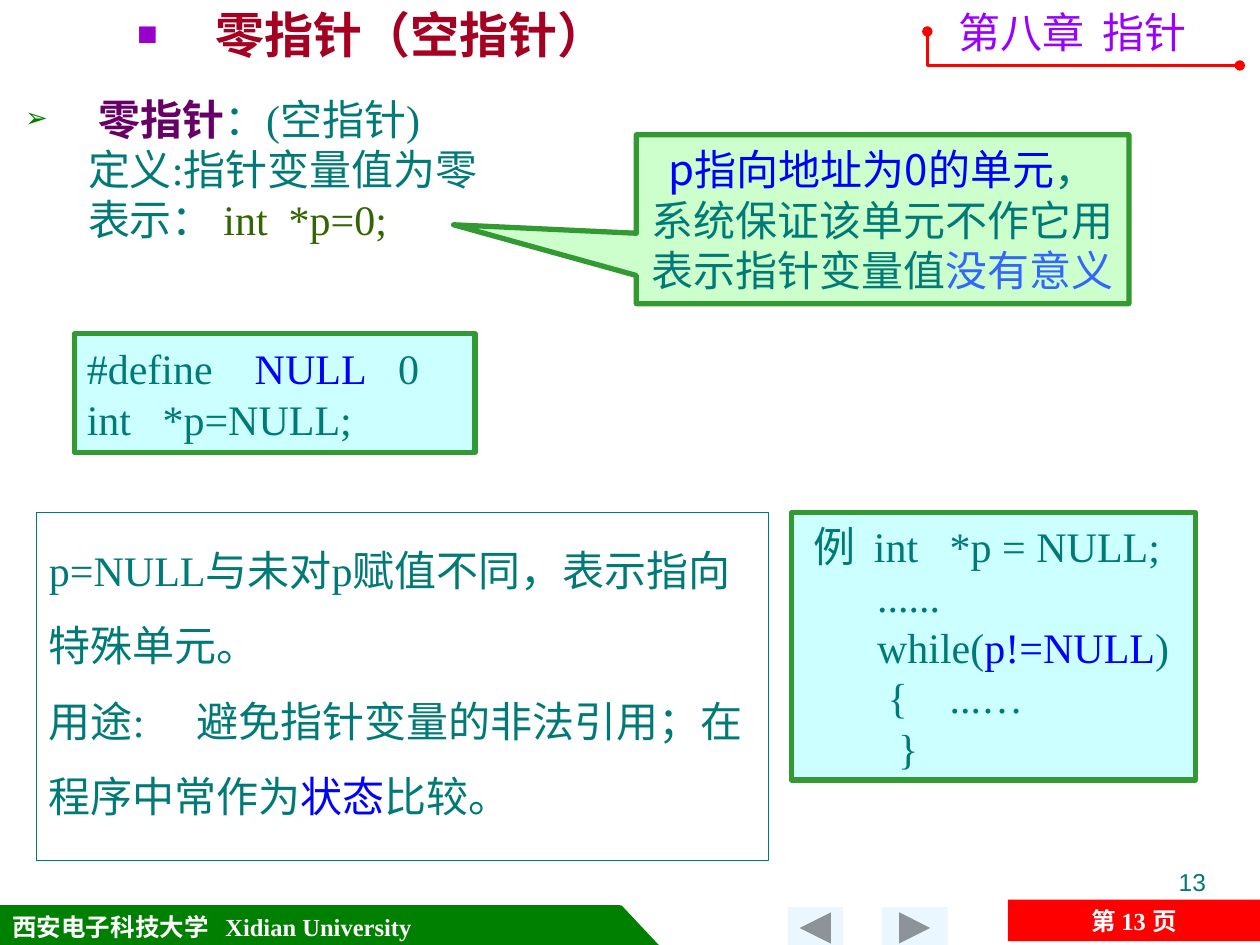
from lxml import etree
from pptx import Presentation
from pptx.dml.color import RGBColor
from pptx.enum import shapes, text
from pptx.oxml.ns import qn
from pptx.util import Inches, Pt

SERIF, CJK, SANS = "Times New Roman", "Noto Sans CJK SC", "Arial"
TEAL, BLUE, GREEN, WHITE = "007A77", "0000FF", "339933", "FFFFFF"
SHAPE, ALIGN, ANCHOR = shapes.MSO_SHAPE, text.PP_ALIGN, text.MSO_ANCHOR


def rgb(value):
    return RGBColor.from_string(value)


def add_child(parent, tag, **attrs):
    return etree.SubElement(parent, qn(tag), attrs)


def add_box(s, kind, box, fill=None, line=None, width=0.75):
    sp = s.shapes.add_shape(kind, *map(Inches, box))
    sp.shadow.inherit = False
    if fill:
        sp.fill.solid()
        sp.fill.fore_color.rgb = rgb(fill)
    else:
        sp.fill.background()
    if line:
        sp.line.color.rgb = rgb(line)
        sp.line.width = Pt(width)
    else:
        sp.line.fill.background()
    return sp


def add_label(s, box):
    return s.shapes.add_textbox(*map(Inches, box))


def set_bullet(p, char, color, percent):
    pPr = p._p.get_or_add_pPr()
    clr = add_child(pPr, "a:buClr")
    add_child(clr, "a:srgbClr", val=color)
    add_child(pPr, "a:buSzPct", val=str(percent * 1000))
    add_child(pPr, "a:buFont", typeface=SANS)
    add_child(pPr, "a:buChar", char=char)


def set_indent(p, left, first=0):
    pPr = p._p.get_or_add_pPr()
    pPr.set("marL", str(Inches(left)))
    pPr.set("indent", str(Inches(first)))


def set_tab(p, at):
    tabs = add_child(p._p.get_or_add_pPr(), "a:tabLst")
    add_child(tabs, "a:tab", pos=str(Inches(at)), algn="l")


def write(sp, paragraphs, size=24, font=SERIF, color=TEAL, bold=False,
          align=ALIGN.LEFT, anchor=ANCHOR.TOP, wrap=True, spacing=1,
          bullets={}, indents={}, tabs={}):
    tf = sp.text_frame
    tf.word_wrap = wrap
    tf.vertical_anchor = anchor
    for i, runs in enumerate(paragraphs):
        p = tf.add_paragraph() if i else tf.paragraphs[0]
        p.alignment = align
        p.line_spacing = Pt(round(size * 1.2 * spacing, 1))
        if i in indents:
            set_indent(p, *indents[i])
        if i in bullets:
            set_bullet(p, *bullets[i])
        if i in tabs:
            set_tab(p, tabs[i])
        p.font.size, p.font.bold, p.font.name = Pt(size), bold, font
        p.font.color.rgb = rgb(color)
        add_child(p._p.pPr.find(qn("a:defRPr")), "a:ea", typeface=CJK)
        for item in runs:
            content, run_color, run_bold = (*item, None, None)[:3] if isinstance(item, tuple) else (item, None, None)
            r = p.add_run()
            r.text = content
            if run_color:
                r.font.color.rgb = rgb(run_color)
            if run_bold:
                r.font.bold = True


def add_footer(s, box):
    left, top, width, height = box
    name = add_box(s, SHAPE.RECTANGLE, (left, top, 4.92, height), "008000", "008000")
    write(name, [["西安电子科技大学\tXidian University"]], 14, color=WHITE, bold=True,
          anchor=ANCHOR.MIDDLE, tabs={0: 1.69})
    add_box(s, SHAPE.RIGHT_TRIANGLE, (left + 4.93, top, 0.31, height), "008000", "008000")
    for x, w, angle in ((7, 0.52, 0), (6.25, 0.44, 180)):
        button = add_box(s, SHAPE.ACTION_BUTTON_FORWARD_OR_NEXT, (left + x, top + 0.01, w, height), "EBF7FF")
        button.rotation = angle
    page = add_box(s, SHAPE.RECTANGLE, (left + width - 2, top - 0.05, 2, height), "FF0000")
    write(page, [["第 13 页"]], 14, color=WHITE, bold=True,
          align=ALIGN.CENTER, anchor=ANCHOR.MIDDLE)
    write(add_label(s, (7.17, top - 0.36, 2.5, 0.52)), [["13"]], 14, SANS, align=ALIGN.RIGHT)


def add_chapter(s, box):
    left, top, width, height = box
    write(add_label(s, (left + 0.15, top, 2.2, 0.5)), [["第八章\t指针"]],
          font=CJK, color="9900FF", tabs={0: 1.14})
    bottom, right = top + height, left + width
    builder = s.shapes.build_freeform(Inches(left), Inches(top + 0.25))
    builder.add_line_segments([(Inches(left), Inches(bottom)), (Inches(right), Inches(bottom))], close=False)
    rule = builder.convert_to_shape()
    rule.shadow.inherit = False
    rule.fill.background()
    rule.line.color.rgb = rgb("FF0000")
    rule.line.width = Pt(1.5)
    for end in ("a:headEnd", "a:tailEnd"):
        add_child(rule.line._get_or_add_ln(), end, type="oval")


def add_title(s, box):
    write(add_label(s, box), [["零指针（空指针）"]], 28, SANS, "A50021", True,
          anchor=ANCHOR.BOTTOM, bullets={0: ("■", "9900CC", 70)}, indents={0: (1.18, -0.62)})


def add_definition(s, box):
    write(add_label(s, box),
          [[("零指针", "660066", True), "：(空指针)"],
           ["定义:指针变量值为零"],
           ["表示： ", ("int  *p=0;", "336600")]],
          bullets={0: ("➢", "008000", 65)},
          indents={0: (0.58, -0.58), 1: (0.5,), 2: (0.5,)})


def add_callout(s, box):
    sp = add_box(s, SHAPE.RECTANGULAR_CALLOUT, box, "CCFFCC", GREEN, 3)
    sp.adjustments[0], sp.adjustments[1] = -0.871, 0.033
    write(sp, [[("p指向地址为0的单元", BLUE), "，"],
               ["系统保证该单元不作它用"],
               ["表示指针变量值", ("没有意义", "3366FF")]],
          font=CJK, align=ALIGN.CENTER, anchor=ANCHOR.MIDDLE, wrap=False)


def add_code(s, box, lines):
    sp = add_box(s, SHAPE.RECTANGLE, box, "CCFFFF", GREEN, 3)
    write(sp, lines, anchor=ANCHOR.MIDDLE)


def add_usage(s, box):
    sp = add_box(s, SHAPE.RECTANGLE, box, line=TEAL)
    write(sp, [["p=NULL与未对p赋值不同，表示指向特殊单元。"],
               ["用途:\t避免指针变量的非法引用；在程序中常作为", ("状态", BLUE), "比较。"]],
          spacing=1.5, tabs={1: 1.17})


def main():
    prs = Presentation()
    prs.slide_width, prs.slide_height = Inches(10), Inches(7.5)
    s = prs.slides.add_slide(prs.slide_layouts[6])
    add_footer(s, (0, 7.19, 10, 0.33))
    add_chapter(s, (7.36, 0, 2.48, 0.52))
    add_definition(s, (0.1, 0.69, 8.91, 1.94))
    add_callout(s, (5.05, 1.07, 3.91, 1.34))
    add_code(s, (0.59, 2.65, 3.18, 0.94),
             [["#define    ", ("NULL", BLUE), "   0"], ["int   *p=NULL;"]])
    add_usage(s, (0.29, 4.07, 5.81, 2.76))
    add_code(s, (6.28, 4.07, 3.21, 2.12),
             [[" 例  int   *p = NULL;"],
              ["       ......"],
              ["       while(", ("p!=NULL", BLUE), ")"],
              ["        {    ...…"],
              ["         }"]])
    add_title(s, (0.43, 0, 5.04, 0.55))
    prs.save("out.pptx")


if __name__ == "__main__":
    main()
